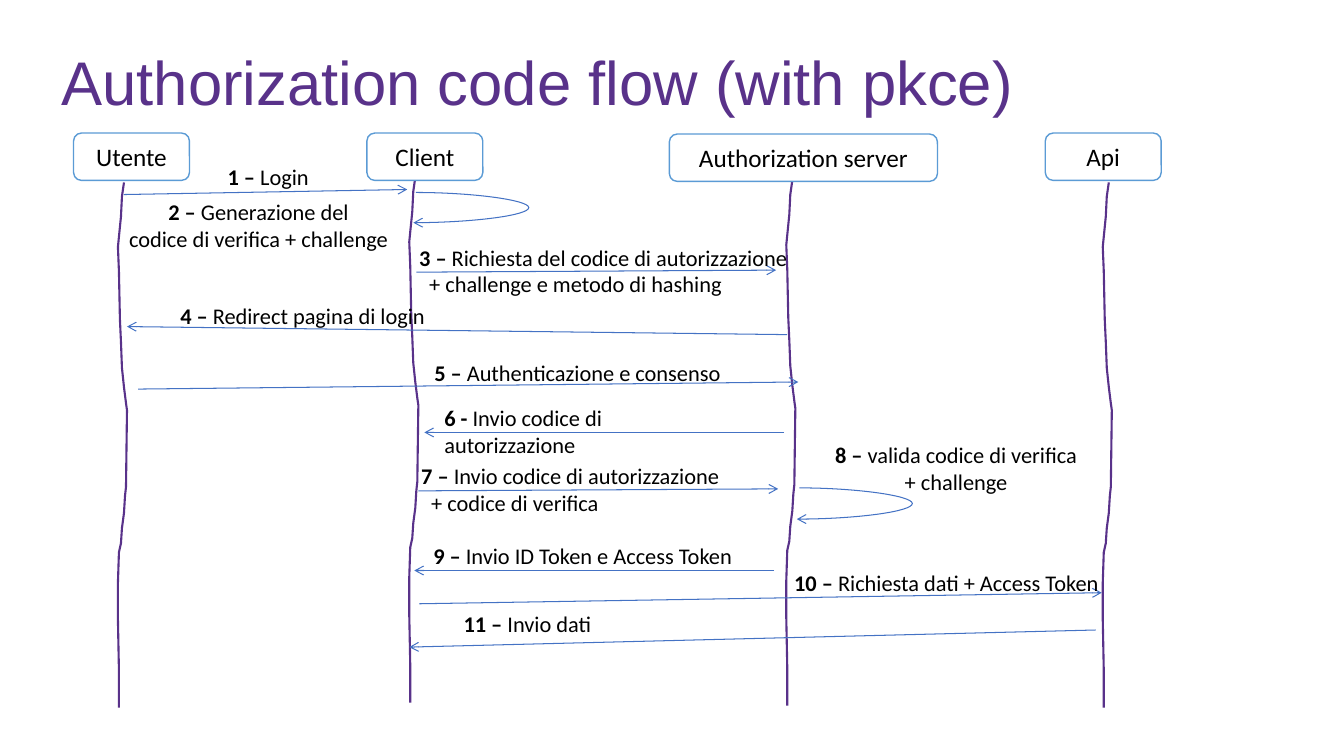
import pptx
import pptx.dml.color
import pptx.enum.shapes
import pptx.enum.text
import pptx.oxml
import pptx.oxml.ns
import pptx.util
from dataclasses import dataclass


@dataclass(frozen=True)
class Theme:
    """Colours, fonts and type sizes of the diagram."""

    purple: str = "59328A"
    box_line: str = "5B9BD5"
    arrow: str = "4472C4"
    text: str = "000000"
    white: str = "FFFFFF"
    title_font: str = "Arial"
    body_font: str = "Calibri"
    title_size: int = 44
    box_size: int = 18
    label_size: int = 16


COLUMNS, ROWS = 133.33, 75
LABEL_HEIGHTS = {1: 3.7, 2: 6.4}
LOOP_REACH = 11.3

PARTICIPANTS = [
    ("Utente", 7.3, 13.2, 11.5, 11.7, 18.1),
    ("Client", 36.4, 13.2, 11.5, 40.6, 17.6),
    ("Authorization server", 66.4, 13.3, 26.6, 78, 17.9),
    ("Api", 103.7, 13.2, 11.5, 109.4, 18.1),
]

LIFELINE_WAVE = [
    (0.6, 0), (0.4, 1.4), (0.3, 3.4), (0.1, 5.4), (0, 6.4), (0.1, 8.8),
    (0.2, 13.6), (0.3, 15.8), (0.4, 18.4), (0.6, 20.3), (0.8, 21.9),
    (0.9, 22.6), (0.8, 30.2), (0.7, 31.1), (0.6, 32.8), (0.4, 34.3),
    (0.3, 35.8), (0.1, 36.7), (0, 39.7), (0, 43.4), (0.1, 48.4), (0.1, 52.1),
]

ARROWS = [
    (12.3, 19.3, 40.4, 18.8),
    (41.3, 27, 77, 26.8),
    (78.1, 33.2, 12.6, 32.4),
    (13.7, 38.6, 79.2, 37.9),
    (77.8, 42.9, 42.1, 42.9),
    (41.5, 48.7, 77.2, 48.5),
    (76.8, 56.6, 41.1, 56.6),
    (41.6, 59.9, 109.3, 58.8),
    (108.7, 62.5, 40.6, 64.2),
]

LOOPS = [(41.25, 19.1, 41, 22.1), (79.3, 48.4, 79.05, 51.5)]

ONE_LINE_LABELS = [
    ("1 – ", "Login", 21.6, 15.7, 10.2),
    ("3 – ", "Richiesta del codice di autorizzazione", 40.6, 23.7, 39.5),
    ("", "+ challenge e metodo di hashing", 41.6, 26.3, 31.4),
    ("7 – ", "Invio codice di autorizzazione", 40.8, 45.4, 32.5),
    ("", "+ codice di verifica", 41.8, 48, 18.8),
    ("10 – ", "Richiesta dati + Access Token", 77.8, 56, 32.6),
]

WRAPPED_LABELS = [
    ("4 – ", "Redirect pagina di login", 16.9, 29.5, 61.7, 1),
    ("5 – ", "Authenticazione e consenso", 42.1, 35.1, 32.9, 1),
    ("6 - ", "Invio codice di autorizzazione", 43.1, 39.6, 28.8, 2),
    ("9 – ", "Invio ID Token e Access Token", 42, 53.3, 32.4, 1),
    ("11 – ", "Invio dati", 45, 60, 64.2, 1),
]

CENTRED_LABELS = [
    ("2 – ", "Generazione del\vcodice di verifica + challenge", 11.3, 19.2, 28.7),
    ("8 – ", "valida codice di verifica\v+ challenge", 80.5, 43.3, 28.7),
]


class SequenceSlide:
    """Draws sequence diagram elements on one slide, measured in grid cells."""

    def __init__(self, presentation, theme):
        """Add a title-only slide and remember its style and grid."""
        self.theme = theme
        self.slide = presentation.slides.add_slide(presentation.slide_layouts[5])
        self.column = presentation.slide_width / COLUMNS
        self.row = presentation.slide_height / ROWS

    def place(self, x, y):
        """Turn grid columns and rows into slide lengths."""
        return round(x * self.column), round(y * self.row)

    def color(self, value):
        """Return a theme value as a colour."""
        return pptx.dml.color.RGBColor.from_string(value)

    def style_font(self, paragraph, name, size, color):
        """Set the font of a whole paragraph."""
        paragraph.font.name = name
        paragraph.font.size = pptx.util.Pt(size)
        paragraph.font.color.rgb = self.color(color)

    def style_line(self, shape, color, width):
        """Set the outline of a shape or connector."""
        shape.line.color.rgb = self.color(color)
        shape.line.width = pptx.util.Pt(width)

    def title(self, text, x, y, width, height):
        """Fill and place the title placeholder."""
        shape = self.slide.shapes.title
        shape.left, shape.top = self.place(x, y)
        shape.width, shape.height = self.place(width, height)
        shape.text_frame.text = text
        shape.text_frame.vertical_anchor = pptx.enum.text.MSO_ANCHOR.MIDDLE
        paragraph = shape.text_frame.paragraphs[0]
        paragraph.alignment = pptx.enum.text.PP_ALIGN.LEFT
        paragraph.line_spacing = 0.9
        self.style_font(paragraph, self.theme.title_font, self.theme.title_size, self.theme.purple)

    def lifeline(self, x, y):
        """Draw a hand-drawn vertical line."""
        points = [self.place(x + dx, y + dy) for dx, dy in LIFELINE_WAVE]
        builder = self.slide.shapes.build_freeform(*points[0])
        builder.add_line_segments(points[1:], close=False)
        shape = builder.convert_to_shape()
        shape.shadow.inherit = False
        shape.fill.background()
        self.style_line(shape, self.theme.purple, 1.5)

    def participant(self, name, x, y, width):
        """Draw a rounded box with a participant's name."""
        shape = self.slide.shapes.add_shape(
            pptx.enum.shapes.MSO_SHAPE.ROUNDED_RECTANGLE, *self.place(x, y), *self.place(width, 4.7))
        shape.shadow.inherit = False
        shape.fill.solid()
        shape.fill.fore_color.rgb = self.color(self.theme.white)
        self.style_line(shape, self.theme.box_line, 1)
        shape.text_frame.text = name
        shape.text_frame.vertical_anchor = pptx.enum.text.MSO_ANCHOR.MIDDLE
        paragraph = shape.text_frame.paragraphs[0]
        paragraph.alignment = pptx.enum.text.PP_ALIGN.CENTER
        self.style_font(paragraph, self.theme.body_font, self.theme.box_size, self.theme.text)

    def arrow(self, x1, y1, x2, y2, kind=pptx.enum.shapes.MSO_CONNECTOR.STRAIGHT):
        """Draw a connector with an open arrowhead at its end."""
        connector = self.slide.shapes.add_connector(kind, *self.place(x1, y1), *self.place(x2, y2))
        self.style_line(connector, self.theme.arrow, 0.75)
        tail = pptx.oxml.parse_xml(f'<a:tailEnd {pptx.oxml.ns.nsdecls("a")} type="arrow"/>')
        connector.line._get_or_add_ln().append(tail)
        effects = pptx.oxml.parse_xml(f'<a:effectLst {pptx.oxml.ns.nsdecls("a")}/>')
        connector._element.spPr.append(effects)
        return connector

    def loop(self, x1, y1, x2, y2):
        """Draw a curved arrow that bulges right and returns to its lifeline."""
        connector = self.arrow(x1, y1, x2, y2, pptx.enum.shapes.MSO_CONNECTOR.CURVE)
        bulge = round(-LOOP_REACH / (x1 - x2) * 100000)
        geometry = connector._element.spPr.find(pptx.oxml.ns.qn("a:prstGeom"))
        geometry.get_or_add_avLst().append(pptx.oxml.parse_xml(
            f'<a:gd {pptx.oxml.ns.nsdecls("a")} name="adj1" fmla="val {bulge}"/>'))

    def label(self, number, text, x, y, width, lines=1, wrap=True, alignment=None):
        """Write a message with its step number in bold."""
        shape = self.slide.shapes.add_textbox(
            *self.place(x, y), *self.place(width, LABEL_HEIGHTS[lines]))
        shape.text_frame.word_wrap = wrap
        shape.text_frame.auto_size = pptx.enum.text.MSO_AUTO_SIZE.SHAPE_TO_FIT_TEXT
        paragraph = shape.text_frame.paragraphs[0]
        paragraph.text = number + text if not number else ""
        if number:
            run = paragraph.add_run()
            run.text = number
            run.font.bold = True
            first, *others = text.split("\v")
            paragraph.add_run().text = first
            for line in others:
                paragraph.add_line_break()
                paragraph.add_run().text = line
        paragraph.alignment = alignment
        self.style_font(paragraph, self.theme.body_font, self.theme.label_size, self.theme.text)


def main():
    """Build and save the authorization flow slide."""
    presentation = pptx.Presentation()
    presentation.slide_width = pptx.util.Inches(13.33)
    presentation.slide_height = pptx.util.Inches(7.5)
    diagram = SequenceSlide(presentation, Theme())
    diagram.title("Authorization code flow (with pkce)", 5.1, 3.1, 122.6, 10.8)
    for name, x, y, width, line_x, line_y in PARTICIPANTS:
        diagram.lifeline(line_x, line_y)
        diagram.participant(name, x, y, width)
    for ends in ARROWS:
        diagram.arrow(*ends)
    for ends in LOOPS:
        diagram.loop(*ends)
    for message in ONE_LINE_LABELS:
        diagram.label(*message, wrap=False)
    for message in WRAPPED_LABELS:
        diagram.label(*message)
    for message in CENTRED_LABELS:
        diagram.label(*message, lines=2, alignment=pptx.enum.text.PP_ALIGN.CENTER)
    presentation.save("out.pptx")


if __name__ == "__main__":
    main()
